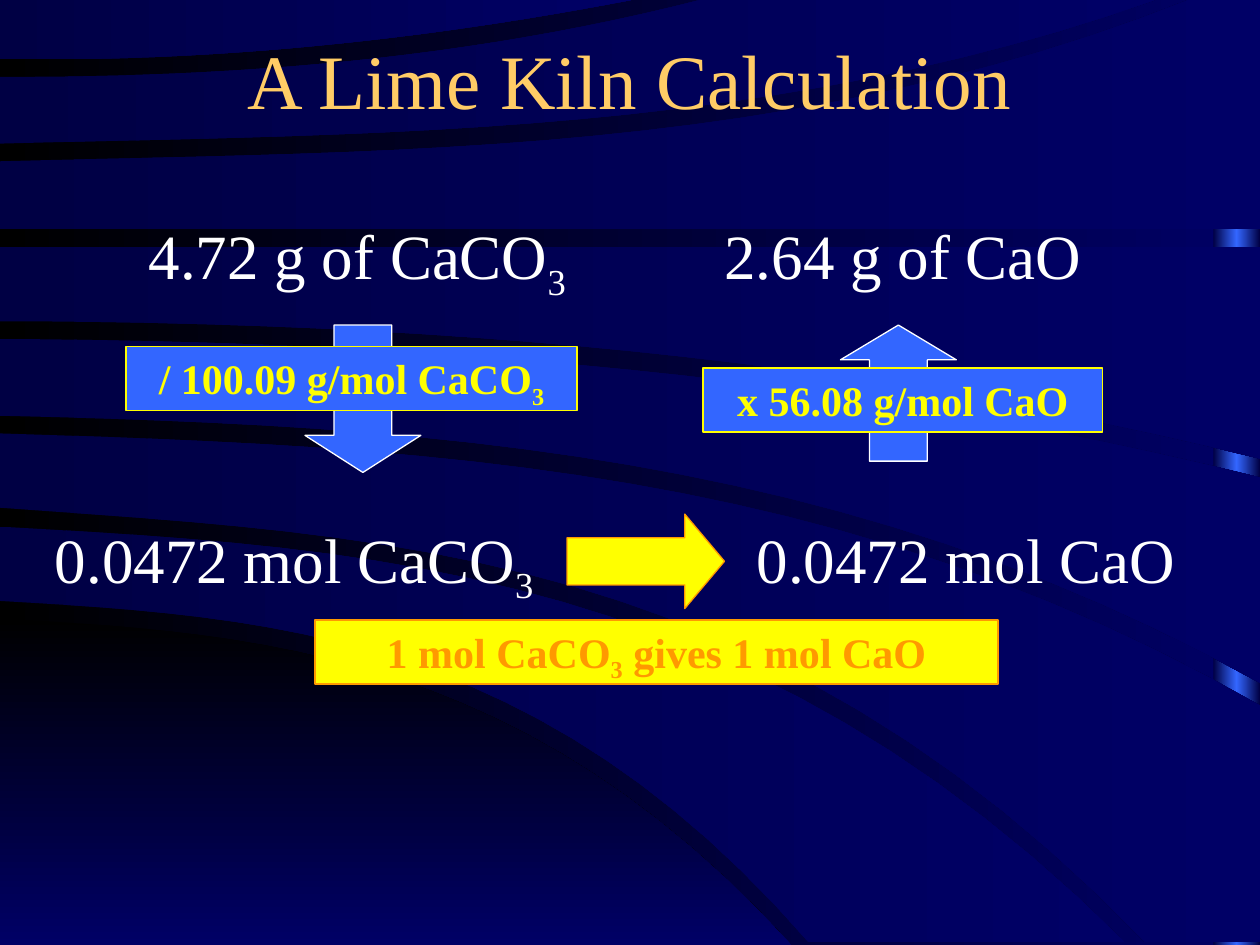
from copy import deepcopy
from pptx import Presentation
from pptx.dml.color import RGBColor
from pptx.enum import shapes, text
from pptx.util import Inches, Pt

FONT = "Times New Roman"
BLACK = RGBColor(0x00, 0x00, 0x00)
NAVY = RGBColor(0x00, 0x00, 0x66)
DARK = RGBColor(0x00, 0x00, 0x44)
BLUE = RGBColor(0x33, 0x66, 0xFF)
WHITE = RGBColor(0xFF, 0xFF, 0xFF)
GOLD = RGBColor(0xFF, 0xCC, 0x66)
YELLOW = RGBColor(0xFF, 0xFF, 0x00)
ORANGE = RGBColor(0xFF, 0x99, 0x00)
STEPS = 24


def shade(fill, first, last, angle=0):
    fill.gradient()
    fill.gradient_angle = angle
    for stop, color, place in zip(fill.gradient_stops, (first, last), (0, 1)):
        stop.color.rgb = color
        stop.position = place


def write(frame, parts, size, color, bold=False):
    frame.word_wrap = True
    para = frame.paragraphs[0]
    para.alignment = text.PP_ALIGN.CENTER
    para.font.name = FONT
    para.font.size = Pt(size)
    para.font.bold = bold
    para.font.color.rgb = color
    for i, part in enumerate(parts):
        run = para.add_run()
        run.text = part
        if i == 1:
            run._r.get_or_add_rPr().set("baseline", "-25000")


prs = Presentation()
prs.slide_width, prs.slide_height = Inches(10), Inches(7.5)
slide = prs.slides.add_slide(prs.slide_layouts[5])
items = slide.shapes
kinds = shapes.MSO_SHAPE
shade(slide.background.fill, BLACK, NAVY)

strip = items.add_shape(
    kinds.RECTANGLE, Inches(9.63), 0, Inches(0.37), Inches(7.5))
strip.shadow.inherit = False
strip.line.fill.background()
shade(strip.fill, DARK, DARK)
stops = strip.fill._fill._gradFill.gsLst
stops.insert(1, deepcopy(stops[0]))
strip.fill.gradient_stops[1].position = 0.5
strip.fill.gradient_stops[1].color.rgb = BLUE

# Each edge: right end, then heights at 0, 1/3, 2/3 and 1 of its width
waves = [
    ((6.28, 4.91, 5.12, 5.83, 7.5), (6.28, 7.5, 7.5, 7.5, 7.5)),
    ((8.93, 4.18, 4.45, 5.34, 7.48), (6.42, 4.77, 4.98, 5.71, 7.48)),
    ((10, 3.44, 3.62, 4.21, 5.6), (9.09, 4.03, 4.32, 5.23, 7.48)),
    ((10, 2.69, 2.8, 3.14, 3.79), (10, 3.3, 3.47, 4.06, 5.42)),
    ((10, 1.96, 1.96, 1.96, 1.96), (10, 2.55, 2.65, 2.99, 3.64)),
    ((9.43, 1.28, 1.19, 0.87, 0), (10, 1.82, 1.82, 1.82, 1.82)),
    ((5.56, 0.61, 0.56, 0.37, 0), (9.17, 1.14, 1.05, 0.76, 0)),
    ((5.01, 0, 0, 0, 0), (5.01, 0.47, 0.43, 0.27, 0))]
for i, pair in enumerate(waves):
    edges = []
    for end, a, b, c, d in pair:
        edge = []
        for step in range(STEPS + 1):
            t = 3 * step / STEPS
            y = (a + t * (b - a) + t * (t - 1) / 2 * (c - 2 * b + a)
                 + t * (t - 1) * (t - 2) / 6 * (d - 3 * c + 3 * b - a))
            edge.append((end * t / 3, y))
        edges.append(edge)
    upper, lower = edges
    near, far = sorted((upper[-1], lower[-1]))
    points = upper + [(far[0], near[1])] + lower[::-1]
    spots = [(Inches(x), Inches(y)) for x, y in points]
    draft = items.build_freeform(*spots[0])
    draft.add_line_segments(spots[1:], close=True)
    wave = draft.convert_to_shape()
    wave.shadow.inherit = False
    wave.line.fill.background()
    if i:
        shade(wave.fill, DARK, NAVY)
    else:
        shade(wave.fill, BLACK, NAVY, 270)

title = items.title
items._spTree.append(title._element)
title.left, title.top = Inches(0.75), Inches(0)
title.width, title.height = Inches(8.5), Inches(1.25)
title.text_frame.auto_size = text.MSO_AUTO_SIZE.NONE
title.text_frame.vertical_anchor = text.MSO_ANCHOR.MIDDLE
write(title.text_frame, ["A Lime Kiln Calculation"], 44, GOLD)

for x, y, w, parts in [
        (1, 1.67, 3.67, ["4.72 g of CaCO", "3"]),
        (5.33, 1.67, 3.67, ["2.64 g of CaO"]),
        (0, 4.08, 4.67, ["0.0472 mol CaCO", "3"]),
        (5.58, 4.08, 4.17, ["0.0472 mol CaO"])]:
    box = items.add_textbox(Inches(x), Inches(y), Inches(w), Inches(0.7))
    write(box.text_frame, parts, 36, WHITE)

for kind, x, y, w, h, head, fill, line in [
        (kinds.DOWN_ARROW, 2.42, 2.58, 0.92, 1.17, 0.32, BLUE, WHITE),
        (kinds.RIGHT_ARROW, 4.5, 4.08, 1.25, 0.75, 0.42, YELLOW, ORANGE),
        (kinds.UP_ARROW, 6.67, 2.58, 0.92, 1.08, 0.3, BLUE, WHITE)]:
    arrow = items.add_shape(kind, Inches(x), Inches(y), Inches(w), Inches(h))
    arrow.adjustments[0], arrow.adjustments[1] = 0.5, head
    arrow.shadow.inherit = False
    arrow.fill.solid()
    arrow.fill.fore_color.rgb = fill
    arrow.line.color.rgb = line
    arrow.line.width = Pt(0.75)

for x, y, w, fill, ink, parts in [
        (2.5, 4.92, 5.42, YELLOW, ORANGE, ["1 mol CaCO", "3", " gives 1 mol CaO"]),
        (5.58, 2.92, 3.17, BLUE, YELLOW, ["x 56.08 g/mol CaO"]),
        (1, 2.75, 3.58, BLUE, YELLOW, ["/ 100.09 g/mol CaCO", "3"])]:
    label = items.add_shape(
        kinds.RECTANGLE, Inches(x), Inches(y), Inches(w), Inches(0.51))
    label.shadow.inherit = False
    label.fill.solid()
    label.fill.fore_color.rgb = fill
    label.line.color.rgb = ink
    label.line.width = Pt(0.75)
    label.text_frame.vertical_anchor = text.MSO_ANCHOR.TOP
    write(label.text_frame, parts, 24, ink, True)

prs.save("out.pptx")
